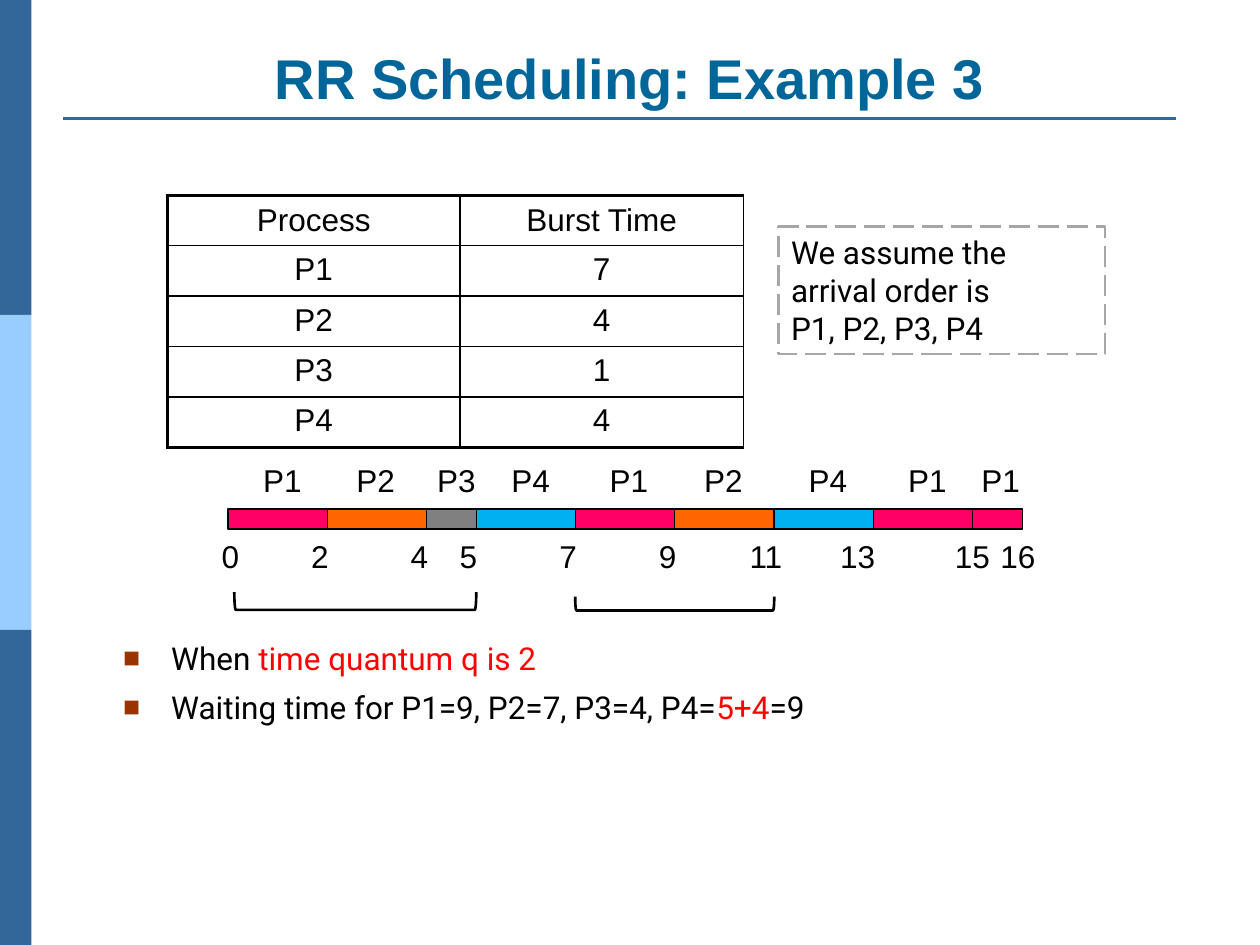
import pptx
import pptx.dml.color
import pptx.enum.dml
import pptx.enum.shapes
import pptx.enum.text
import pptx.oxml
import pptx.oxml.ns
import pptx.util
from pptx.util import Inches

RGBColor = pptx.dml.color.RGBColor
MSO_SHAPE = pptx.enum.shapes.MSO_SHAPE
PP_ALIGN = pptx.enum.text.PP_ALIGN
MSO_ANCHOR = pptx.enum.text.MSO_ANCHOR

BLACK = RGBColor(0x00, 0x00, 0x00)
RED = RGBColor(0xFF, 0x00, 0x00)
DARK_BLUE = RGBColor(0x33, 0x66, 0x99)
LIGHT_BLUE = RGBColor(0x99, 0xCC, 0xFF)
TITLE_BLUE = RGBColor(0x00, 0x66, 0x99)
DASH_GRAY = RGBColor(0xA6, 0xA6, 0xA6)
PROCESS_COLORS = {
    "P1": RGBColor(0xFF, 0x00, 0x66),
    "P2": RGBColor(0xFF, 0x66, 0x00),
    "P3": RGBColor(0x80, 0x80, 0x80),
    "P4": RGBColor(0x00, 0xB0, 0xF0),
}

BURST_ROWS = [("Process", "Burst Time"), ("P1", "7"), ("P2", "4"), ("P3", "1"), ("P4", "4")]
GANTT_LEFT, GANTT_TOP, GANTT_HEIGHT, TIME_UNIT = 1.81, 4.04, 0.16, 0.394
GANTT = [
    ("P1", 2, 1.99, 2.37), ("P2", 4, 2.73, 3.16), ("P3", 5, 3.37, 3.55),
    ("P4", 7, 3.96, 4.34), ("P1", 9, 4.74, 5.13), ("P2", 11, 5.49, 5.85),
    ("P4", 13, 6.32, 6.57), ("P1", 15, 7.11, 7.48), ("P1", 16, 7.69, 7.84),
]
BULLETS = [
    [("When ", BLACK), ("time quantum q is 2", RED)],
    [("Waiting time for P1=9, P2=7, P3=4, P4=", BLACK), ("5+4", RED), ("=9", BLACK)],
]


def format_font(font, size=18, name="Arial", color=BLACK, bold=False):
    """Apply the text style of this slide to a font."""
    font.size = pptx.util.Pt(size)
    font.name = name
    font.color.rgb = color
    font.bold = bold


def add_text(slide, text, left, top, width, height, **style):
    """Add a wrapping text box and return its text frame."""
    text_frame = slide.shapes.add_textbox(
        Inches(left), Inches(top), Inches(width), Inches(height)).text_frame
    text_frame.word_wrap = True
    text_frame.text = text
    for paragraph in text_frame.paragraphs:
        for run in paragraph.runs:
            format_font(run.font, **style)
    return text_frame


def add_figure(slide, kind, left, top, width, height, fill=None, line=None, line_width=1.5):
    """Add a preset shape with optional fill and outline."""
    shape = slide.shapes.add_shape(
        kind, Inches(left), Inches(top), Inches(width), Inches(height))
    shape.shadow.inherit = False
    if fill is None:
        shape.fill.background()
    else:
        shape.fill.solid()
        shape.fill.fore_color.rgb = fill
    if line is None:
        shape.line.fill.background()
    else:
        shape.line.color.rgb = line
        shape.line.width = pptx.util.Pt(line_width)
    return shape


def add_frame(slide):
    """Draw the side stripes, the title and its rule."""
    for index, color in enumerate((DARK_BLUE, LIGHT_BLUE, DARK_BLUE)):
        add_figure(slide, MSO_SHAPE.RECTANGLE, 0, 2.5 * index, 0.25, 2.5, fill=color)
    rule = slide.shapes.add_connector(
        pptx.enum.shapes.MSO_CONNECTOR.STRAIGHT,
        Inches(0.5), Inches(0.94), Inches(9.33), Inches(0.94))
    rule.line.color.rgb = DARK_BLUE
    rule.line.width = pptx.util.Pt(1.5)
    pptx.oxml.ns.qn("a:effectLst")
    rule._element.spPr.append(pptx.oxml.parse_xml(
        f'<a:effectLst {pptx.oxml.ns.nsdecls("a")}/>'))
    title = add_text(slide, "RR Scheduling: Example 3", 0.5, 0.3, 9, 0.63,
                     size=32, color=TITLE_BLUE, bold=True)
    title.vertical_anchor = MSO_ANCHOR.BOTTOM
    title.paragraphs[0].alignment = PP_ALIGN.CENTER


def set_borders(cell, widths):
    """Give a cell black borders with widths in points by side."""
    properties = cell._tc.get_or_add_tcPr()
    for index, (side, width) in enumerate(widths.items()):
        properties.insert(index, pptx.oxml.parse_xml(
            f'<a:ln{side} {pptx.oxml.ns.nsdecls("a")} w="{int(width * 12700)}">'
            f'<a:solidFill><a:srgbClr val="{BLACK}"/></a:solidFill></a:ln{side}>'))


def add_burst_table(slide):
    """Add the table of processes and burst times."""
    last_row = len(BURST_ROWS) - 1
    table = slide.shapes.add_table(
        len(BURST_ROWS), 2, Inches(1.33), Inches(1.55), Inches(4.57), Inches(2)).table
    table.first_row = table.horz_banding = False
    for column, width in zip(table.columns, (2.32, 2.25)):
        column.width = Inches(width)
    for row, values in enumerate(BURST_ROWS):
        for column, value in enumerate(values):
            cell = table.cell(row, column)
            cell.text = value
            cell.fill.background()
            cell.vertical_anchor = MSO_ANCHOR.MIDDLE if row == 0 else MSO_ANCHOR.TOP
            paragraph = cell.text_frame.paragraphs[0]
            paragraph.alignment = PP_ALIGN.CENTER
            paragraph.space_before = pptx.util.Pt(3.6)
            format_font(paragraph.runs[0].font)
            set_borders(cell, {"L": 2.25 if column == 0 else 1, "R": 1,
                               "T": 2.25 if row == 0 else 1,
                               "B": 2.25 if row == last_row else 1})


def add_arrival_note(slide):
    """Add the dashed note about arrival order."""
    note = add_figure(slide, MSO_SHAPE.RECTANGLE, 6.18, 1.8, 2.59, 1.01, line=DASH_GRAY)
    note.line.dash_style = pptx.enum.dml.MSO_LINE.LONG_DASH
    text_frame = note.text_frame
    text_frame.text = "We assume the\narrival order is\nP1, P2, P3, P4"
    text_frame.vertical_anchor = MSO_ANCHOR.TOP
    for paragraph in text_frame.paragraphs:
        paragraph.alignment = PP_ALIGN.LEFT
        format_font(paragraph.runs[0].font, name="Roboto")


def add_gantt(slide):
    """Draw the schedule bar with process names, times and round brackets."""
    add_text(slide, "0", 1.66, 4.21, 0.55, 0.4)
    start = 0
    for process, end, name_left, time_left in GANTT:
        add_figure(slide, MSO_SHAPE.RECTANGLE, GANTT_LEFT + start * TIME_UNIT, GANTT_TOP,
                   (end - start) * TIME_UNIT, GANTT_HEIGHT,
                   fill=PROCESS_COLORS[process], line=BLACK, line_width=0.75)
        add_text(slide, process, name_left, 3.61, 0.55, 0.4)
        add_text(slide, str(end), time_left, 4.21, 0.55, 0.4)
        start = end
    for left, top, width, height in ((2.75, 3.81, 0.14, 1.92), (5.3, 4, 0.11, 1.58)):
        bracket = add_figure(slide, MSO_SHAPE.LEFT_BRACKET, left, top, width, height, line=BLACK)
        bracket.rotation = 270


def add_bullets(slide):
    """Add the bulleted conclusions."""
    text_frame = add_text(slide, "", 0.88, 5.02, 9, 1.28)
    for index, parts in enumerate(BULLETS):
        paragraph = text_frame.add_paragraph() if index else text_frame.paragraphs[0]
        paragraph.space_before = pptx.util.Pt(6.3)
        properties = paragraph._p.get_or_add_pPr()
        properties.set("marL", str(Inches(0.38)))
        properties.set("indent", str(Inches(-0.38)))
        for tag in ('buClr><a:srgbClr val="993300"/></a:buClr', 'buSzPct val="90000"/',
                    'buFont typeface="Arial"/', 'buChar char="■"/'):
            namespace = pptx.oxml.ns.nsdecls("a")
            name, rest = tag[:tag.index(">")] if ">" in tag else tag, ""
            if ">" in tag:
                rest = tag[tag.index(">"):]
                xml = f"<a:{name} {namespace}{rest}>"
            else:
                xml = f"<a:{name[:-1]} {namespace}/>"
            properties.append(pptx.oxml.parse_xml(xml))
        for text, color in parts:
            run = paragraph.add_run()
            run.text = text
            format_font(run.font, name="Roboto", color=color)


def main():
    """Build the slide and save it."""
    presentation = pptx.Presentation()
    presentation.slide_width = Inches(10)
    presentation.slide_height = Inches(7.5)
    slide = presentation.slides.add_slide(presentation.slide_layouts[6])
    add_frame(slide)
    add_bullets(slide)
    add_burst_table(slide)
    add_arrival_note(slide)
    add_gantt(slide)
    presentation.save("out.pptx")


if __name__ == "__main__":
    main()
